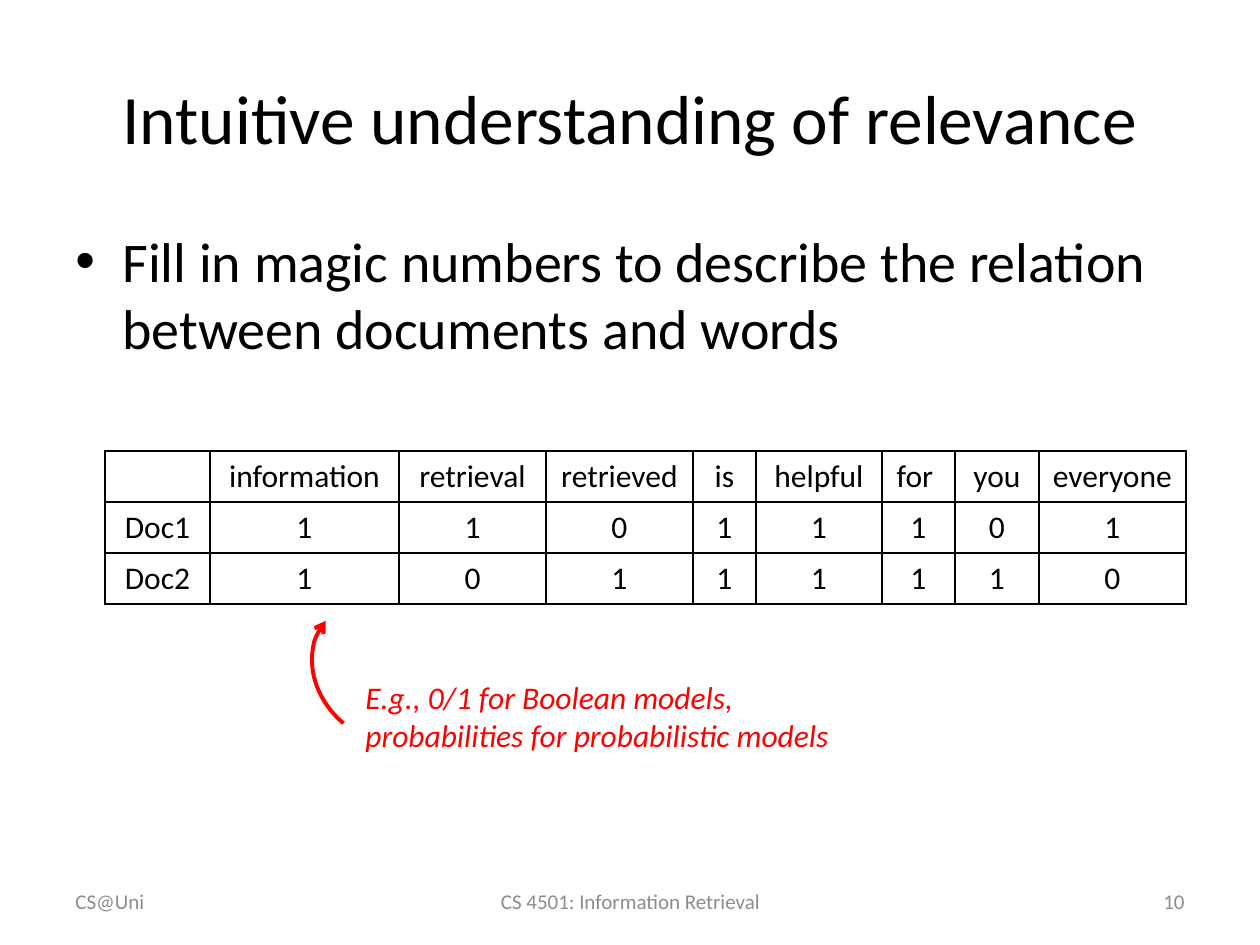
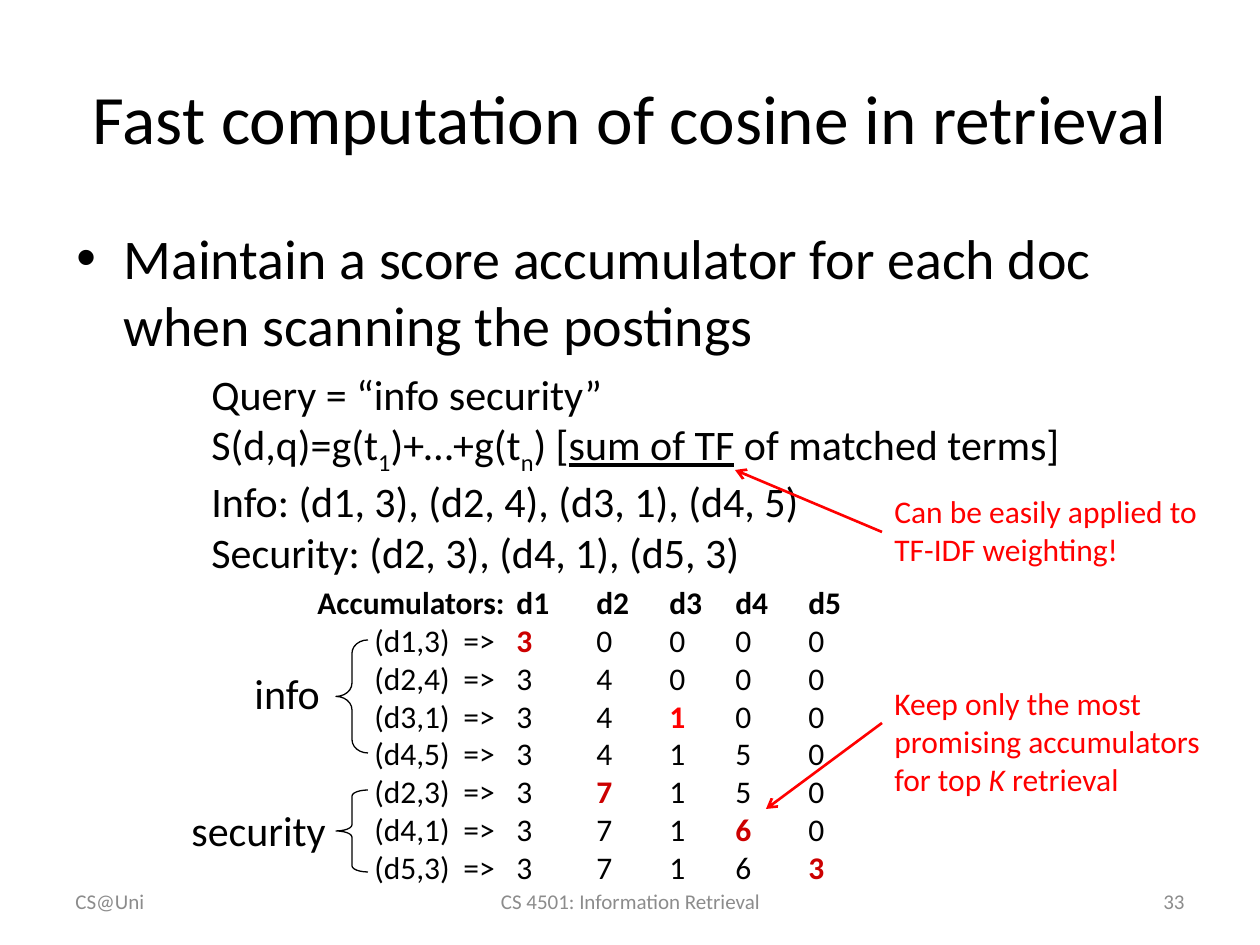
from lxml import etree
from pptx import Presentation
from pptx import util as u
from pptx.dml.color import RGBColor
from pptx.enum import shapes, text
from pptx.oxml import ns

COLORS = {"ink": "000000", "footer": "8C8C8C", "note": "FF0000", "update": "CC0000"}
FONT = "Calibri"
WIDTH, HEIGHT = 1260, 945
LEFT, CENTER, RIGHT = text.PP_ALIGN.LEFT, text.PP_ALIGN.CENTER, text.PP_ALIGN.RIGHT

TITLE_BOX = (63, 38, 1134, 157)
FOOTERS = [("CS@Uni", (63, 876, 294, 50), LEFT),
           ("CS 4501: Information Retrieval", (431, 876, 399, 50), CENTER)]
NUMBER_BOX = (903, 876, 294, 50)

RELEVANCE = {
    "title": "Intuitive understanding of relevance",
    "number": "10",
    "bullet": "Fill in magic numbers to describe the relation between documents and words",
    "bullet_box": (63, 220, 1134, 624),
}
WORD_ROWS = [
    ["", "information", "retrieval", "retrieved", "is", "helpful", "for ", "you", "everyone"],
    ["Doc1", "1", "1", "0", "1", "1", "1", "0", "1"],
    ["Doc2", "1", "0", "1", "1", "1", "1", "1", "0"],
]
WORD_WIDTHS = [105, 189, 147, 147, 63, 126, 73, 84, 147]
WORD_ROW_HEIGHT = 51
MODEL_NOTE = "E.g., 0/1 for Boolean models, probabilities for probabilistic models"

COSINE = {
    "title": "Fast computation of cosine in retrieval",
    "number": "33",
    "bullet": "Maintain a score accumulator for each doc when scanning the postings",
    "bullet_box": (64, 217, 1134, 624),
}
SUB = {"baseline": "-25000"}
QUERY = [
    ["Query = “info security”"],
    ["S(d,q)=g(t", ("1", SUB), ")+…+g(t", ("n", SUB), ") [",
     ("sum of TF", {"u": "sng"}), " of matched terms]"],
    ["Info: (d1, 3), (d2, 4), (d3, 1), (d4, 5)"],
    ["Security: (d2, 3), (d4, 1), (d5, 3)"],
]
DOCS = ["d1", "d2", "d3", "d4", "d5"]
POSTINGS = [("d1", 3, "update"), ("d2", 4, None), ("d3", 1, "note"), ("d4", 5, None),
            ("d2", 3, "update"), ("d4", 1, "update"), ("d5", 3, "update")]
POSTING_TABS = [57, 146, 199, 279, 352, 418, 491]
TERMS = [("info", (242, 661, 93, 63), (336, 640, 32, 113), 0.417),
         ("security", (179, 798, 176, 63), (336, 790, 32, 82), 0.194)]
CALLOUTS = [
    (["Can be easily applied to TF-IDF weighting!"], (882, 486, 346, 89),
     (882, 532), (735, 470)),
    (["Keep only the most promising accumulators for top ", ("K", {"i": "1"}), " retrieval"],
     (882, 678, 346, 127), (882, 723), (766, 809)),
]


def px(length):
    return u.Emu(round(length * 914400 / 126))


def place(box):
    return [px(length) for length in box]


def rgb(name):
    return RGBColor.from_string(COLORS[name])


def child(parent, tag, **attributes):
    return etree.SubElement(parent, ns.qn(tag), attributes)


def write(paragraph, runs, size, color="ink", align=LEFT, style=None):
    paragraph.alignment = align
    for item in runs:
        words, extra = (item, {}) if isinstance(item, str) else item
        run = paragraph.add_run()
        run.text = words
        run.font.name, run.font.size = FONT, u.Pt(size)
        marks = {**(style or {}), **extra}
        run.font.color.rgb = rgb(marks.pop("color", color))
        for key, value in marks.items():
            run.font._element.set(key, value)


def add_text(slide, box, lines, size, anchor=text.MSO_ANCHOR.TOP, **look):
    frame = slide.shapes.add_textbox(*place(box)).text_frame
    frame.word_wrap = True
    frame.vertical_anchor = anchor
    for index, runs in enumerate(lines):
        paragraph = frame.add_paragraph() if index else frame.paragraphs[0]
        write(paragraph, runs, size, **look)
    return frame


def outline(shape, color, width, arrow=False):
    shape.line.color.rgb = rgb(color)
    shape.line.width = u.Pt(width)
    if arrow:
        child(shape.line._get_or_add_ln(), "a:tailEnd", type="arrow")


def add_outline_shape(slide, kind, box, color, width, arrow=False):
    shape = slide.shapes.add_shape(kind, *place(box))
    shape.shadow.inherit = False
    shape.fill.background()
    outline(shape, color, width, arrow)
    return shape


def start_slide(deck, content):
    slide = deck.slides.add_slide(deck.slide_layouts[5])
    title = slide.shapes.title
    title.left, title.top, title.width, title.height = place(TITLE_BOX)
    title.text_frame.auto_size = text.MSO_AUTO_SIZE.NONE
    title.text_frame.vertical_anchor = text.MSO_ANCHOR.MIDDLE
    write(title.text_frame.paragraphs[0], [content["title"]], 39.6, align=CENTER)

    bullet = add_text(slide, content["bullet_box"], [[content["bullet"]]], 32).paragraphs[0]
    bullet.space_before = u.Pt(6.4)
    properties = bullet._p.get_or_add_pPr()
    properties.set("marL", str(px(47)))
    properties.set("indent", str(px(-47)))
    child(properties, "a:buFont", typeface="Arial")
    child(properties, "a:buChar", char="•")

    for words, box, align in FOOTERS + [(content["number"], NUMBER_BOX, RIGHT)]:
        add_text(slide, box, [[words]], 12, text.MSO_ANCHOR.MIDDLE,
                 color="footer", align=align)
    return slide


def border(cell):
    properties = cell._tc.get_or_add_tcPr()
    for index, side in enumerate(("a:lnL", "a:lnR", "a:lnT", "a:lnB")):
        edge = etree.Element(ns.qn(side), w=str(u.Pt(1)))
        child(child(edge, "a:solidFill"), "a:srgbClr", val=COLORS["ink"])
        properties.insert(index, edge)


def add_word_table(slide):
    box = (105, 451, sum(WORD_WIDTHS), WORD_ROW_HEIGHT * len(WORD_ROWS))
    table = slide.shapes.add_table(len(WORD_ROWS), len(WORD_WIDTHS), *place(box)).table
    table.first_row = table.horz_banding = False
    for column, width in zip(table.columns, WORD_WIDTHS):
        column.width = px(width)
    for row, words in zip(table.rows, WORD_ROWS):
        row.height = px(WORD_ROW_HEIGHT)
        for cell, word in zip(row.cells, words):
            cell.fill.background()
            border(cell)
            paragraph = cell.text_frame.paragraphs[0]
            paragraph.font.size = u.Pt(18)
            write(paragraph, [word] if word else [], 18, align=CENTER)


def accumulator_lines():
    lines = [[("Accumulators:\t" + "\t".join(DOCS), {"b": "1"})]]
    scores = dict.fromkeys(DOCS, 0)
    for doc, count, mark in POSTINGS:
        scores[doc] += count
        runs = [f"\t({doc},{count})\t=>"]
        for name, score in scores.items():
            marked = mark and name == doc
            runs += ["\t", (str(score), {"b": "1", "color": mark} if marked else {})]
        lines.append(runs)
    return lines


deck = Presentation()
deck.slide_width, deck.slide_height = px(WIDTH), px(HEIGHT)

relevance = start_slide(deck, RELEVANCE)
add_word_table(relevance)
add_text(relevance, (353, 672, 504, 89), [[MODEL_NOTE]], 18, color="note", style={"i": "1"})
pointer = add_outline_shape(relevance, shapes.MSO_SHAPE.ARC, (307, 605, 159, 134),
                            "note", 2.25, arrow=True)
pointer.rotation = 220

cosine = start_slide(deck, COSINE)
add_text(cosine, (199, 362, 885, 217), QUERY, 24)
accumulators = add_text(cosine, (305, 577, 562, 357), accumulator_lines(), 18)
for paragraph in accumulators.paragraphs:
    stops = child(paragraph._p.get_or_add_pPr(), "a:tabLst")
    for position in POSTING_TABS:
        child(stops, "a:tab", pos=str(px(position)), algn="l")
for term, box, brace_box, curl in TERMS:
    add_text(cosine, box, [[term]], 24)
    brace = add_outline_shape(cosine, shapes.MSO_SHAPE.LEFT_BRACE, brace_box, "ink", 0.75)
    brace.adjustments[0], brace.adjustments[1] = curl, 0.5
for runs, box, start, end in CALLOUTS:
    add_text(cosine, box, [runs], 18, color="note")
    arrow = cosine.shapes.add_connector(shapes.MSO_CONNECTOR.STRAIGHT,
                                        *place(start + end))
    outline(arrow, "note", 1.5, arrow=True)
    child(arrow._element.spPr, "a:effectLst")

deck.save("out.pptx")
